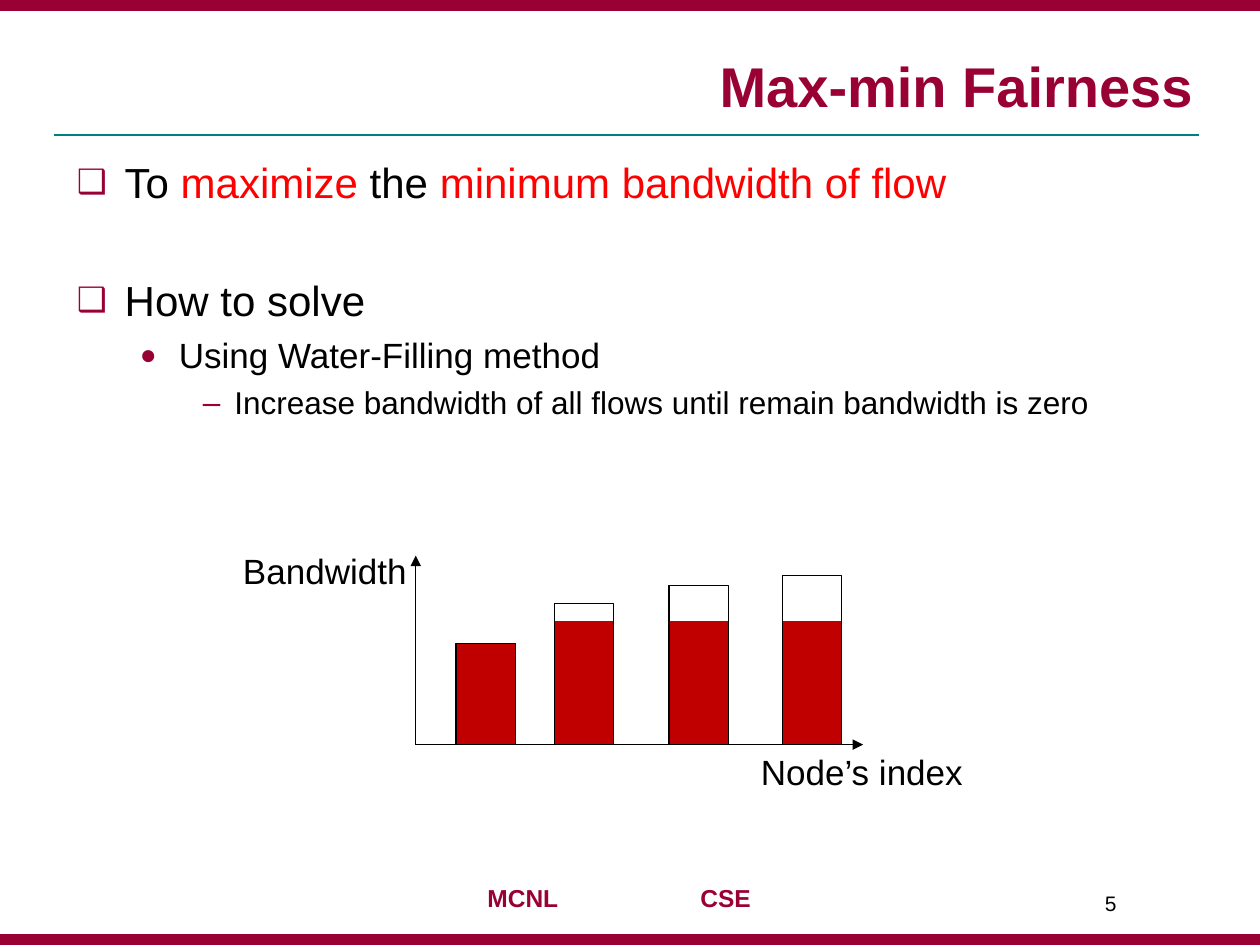
from lxml.etree import SubElement as Sub
from pptx import Presentation
from pptx.dml.color import RGBColor as RGB
from pptx.enum.shapes import MSO_CONNECTOR as Link, MSO_SHAPE as Form
from pptx.enum.text import MSO_ANCHOR as Anchor, MSO_AUTO_SIZE as Fit, PP_ALIGN as Align
from pptx.oxml.ns import qn
from pptx.util import Inches, Pt

WINE, TEAL, BLACK, RED, FILL = "990033", "008080", "000000", "FF0000", "C00000"


def hue(code):
    return RGB.from_string(code)


def place(shape, box):
    shape.left, shape.top, shape.width, shape.height = map(Inches, box)


def style(run, size, code=BLACK, bold=False):
    font = run.font
    font.name, font.size, font.bold = "Arial", Pt(size), bold
    font.color.rgb = hue(code)


def label(slide, box, text, size, code=BLACK, bold=False):
    frame = slide.shapes.add_textbox(*map(Inches, box)).text_frame
    frame.text = text
    style(frame.paragraphs[0].runs[0], size, code, bold)


def rect(slide, box, fill=None, line=None):
    shape = slide.shapes.add_shape(Form.RECTANGLE, *map(Inches, box))
    shape.shadow.inherit = False
    if fill:
        shape.fill.solid()
        shape.fill.fore_color.rgb = hue(fill)
    else:
        shape.fill.background()
    if line:
        shape.line.color.rgb = hue(line)
        shape.line.width = Pt(0.75)
    else:
        shape.line.fill.background()


def rule(slide, start, end, code, width, arrow=False):
    line = slide.shapes.add_connector(Link.STRAIGHT, *map(Inches, start + end))
    line.line.color.rgb = hue(code)
    line.line.width = Pt(width)
    if arrow:
        Sub(line.line._get_or_add_ln(), qn("a:tailEnd"), type="triangle")
    Sub(line._element.spPr, qn("a:effectLst"))


def frame_page(slide, wide, high):
    rule(slide, (0.43, 1.07), (9.52, 1.07), TEAL, 1)
    for top in (high - 0.08, 0):
        rect(slide, (0, top, wide, 0.08), WINE, WINE)
    label(slide, (3.77, 6.96, 0.8, 0.34), "MCNL", 14, WINE, True)
    label(slide, (5.46, 6.96, 0.65, 0.34), "CSE", 14, WINE, True)
    label(slide, (8.67, 7.02, 0.83, 0.4), "5", 12)


def head(shape, box, text):
    place(shape, box)
    frame = shape.text_frame
    frame.text = text
    frame.auto_size = Fit.NONE
    frame.vertical_anchor = Anchor.BOTTOM
    para = frame.paragraphs[0]
    para.alignment = Align.RIGHT
    style(para.runs[0], 32, WINE, True)


def bullet(para, level):
    sign, left, hang, size = (
        ("❑", 0.38, 0.38, 80), ("●", 0.81, 0.31, 80), ("‒", 1.25, 0.25, 100))[level]
    para.level = level
    props = para._p.get_or_add_pPr()
    props.set("marL", str(Inches(left)))
    props.set("indent", str(-Inches(hang)))
    Sub(Sub(props, qn("a:buClr")), qn("a:srgbClr"), val=WINE)
    Sub(props, qn("a:buSzPct"), val=str(size * 1000))
    Sub(props, qn("a:buFont"), typeface="Arial")
    Sub(props, qn("a:buChar"), char=sign)


def points(shape, box, items):
    place(shape, box)
    frame = shape.text_frame
    frame.auto_size = Fit.NONE
    frame.margin_top = Inches(0.09)
    for i, (level, space, parts) in enumerate(items):
        para = frame.add_paragraph() if i else frame.paragraphs[0]
        bullet(para, level)
        para.space_before = Pt(space)
        for text, code in parts:
            run = para.add_run()
            run.text = text
            style(run, (24, 20, 18)[level], code)


def graph(slide, box):
    left, top, wide, high = box
    base = top + high
    rule(slide, (left, base), (left + wide, base), BLACK, 0.75, True)
    rule(slide, (left, base), (left, top), BLACK, 0.75, True)
    label(slide, (left - 1.47, top - 0.1, 1.51, 0.44), "Bandwidth", 20)
    label(slide, (left + 2.64, base, 1.82, 0.44), "Node’s index", 20)
    level = 0.98
    for gap, need in ((0.32, 0.8), (1.1, 1.12), (2.01, 1.26), (2.91, 1.34)):
        fill = min(need, level)
        rect(slide, (left + gap, base - fill, 0.47, fill), FILL)
        rect(slide, (left + gap, base - need, 0.47, need), line=BLACK)


def main():
    deck = Presentation()
    deck.slide_width, deck.slide_height = Inches(10), Inches(7.5)
    slide = deck.slides.add_slide(deck.slide_layouts[1])
    frame_page(slide, 10, 7.5)
    head(slide.shapes.title, (0.5, 0.25, 9.07, 0.74), "Max-min Fairness")
    points(slide.placeholders[1], (0.51, 1.15, 9, 5.67), (
        (0, 0, (("To ", BLACK), ("maximize ", RED), ("the ", BLACK),
                ("minimum bandwidth of flow", RED))),
        (0, 39, (("How to solve", BLACK),)),
        (1, 4.8, (("Using Water-Filling method", BLACK),)),
        (2, 4.3, (("Increase bandwidth of all flows until remain bandwidth is zero", BLACK),)),
    ))
    graph(slide, (3.3, 4.41, 3.55, 1.5))
    deck.save("out.pptx")


if __name__ == "__main__":
    main()
